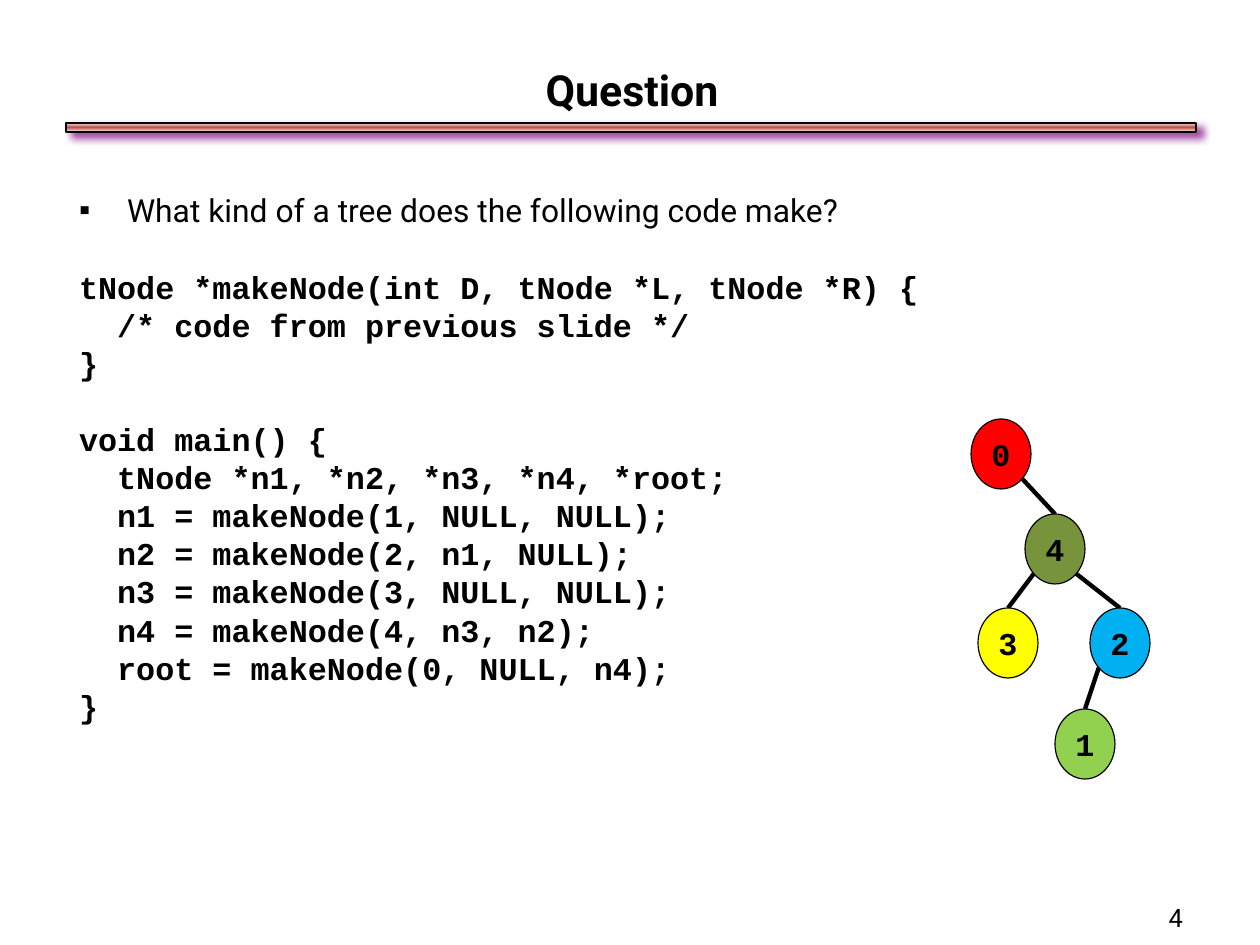
from math import sqrt
from lxml import etree
from pptx import Presentation
from pptx.dml.color import RGBColor
from pptx.enum.shapes import MSO_CONNECTOR, MSO_SHAPE
from pptx.enum.text import MSO_ANCHOR, MSO_AUTO_SIZE, PP_ALIGN
from pptx.oxml.ns import qn
from pptx.util import Pt

RECT, OVAL = MSO_SHAPE.RECTANGLE, MSO_SHAPE.OVAL
LINE = MSO_CONNECTOR.STRAIGHT
TOP, MIDDLE = MSO_ANCHOR.TOP, MSO_ANCHOR.MIDDLE
LEFT, CENTER, RIGHT = PP_ALIGN.LEFT, PP_ALIGN.CENTER, PP_ALIGN.RIGHT
FIXED = MSO_AUTO_SIZE.NONE

BLACK = RGBColor(0x00, 0x00, 0x00)
CREAM = RGBColor(0xEE, 0xEC, 0xE1)
BRICK = RGBColor(0xC0, 0x50, 0x4D)
PURPLE = RGBColor(0x80, 0x00, 0x80)
RED = RGBColor(0xFF, 0x00, 0x00)
OLIVE = RGBColor(0x77, 0x93, 0x3C)
YELLOW = RGBColor(0xFF, 0xFF, 0x00)
BLUE = RGBColor(0x00, 0xB0, 0xF0)
GREEN = RGBColor(0x92, 0xD0, 0x50)

SANS, MONO = "Roboto", "Courier New"
NODE_W, NODE_H = 60, 70

CODE = [
    """tNode *makeNode(int D, tNode *L, tNode *R) {
  /* code from previous slide */
}""",
    """void main() {
  tNode *n1, *n2, *n3, *n4, *root;
  n1 = makeNode(1, NULL, NULL);
  n2 = makeNode(2, n1, NULL);
  n3 = makeNode(3, NULL, NULL);
  n4 = makeNode(4, n3, n2);
  root = makeNode(0, NULL, n4);
}""",
]

# Label: centre x, centre y, fill
NODES = {
    "0": (1001, 454, RED),
    "4": (1055, 549, OLIVE),
    "3": (1008, 643, YELLOW),
    "2": (1120, 643, BLUE),
    "1": (1085, 744, GREEN),
}
# Parent, child, side of the parent (-1 left, 1 right)
EDGES = [("0", "4", 1), ("4", "3", -1), ("4", "2", 1), ("2", "1", -1)]


def px(n):
    return round(n * 8000)


def box(*sides):
    return [px(n) for n in sides]


def add(parent, tag, **attrs):
    return etree.SubElement(parent, qn(tag), attrs)


def place(shape, sides):
    shape.left, shape.top, shape.width, shape.height = box(*sides)


def set_frame(frame, anchor, pad_x=13, pad_y=7, wrap=True):
    frame.margin_left = frame.margin_right = px(pad_x)
    frame.margin_top = frame.margin_bottom = px(pad_y)
    frame.word_wrap = wrap
    frame.auto_size = FIXED
    frame.vertical_anchor = anchor


def style(para, size, name=SANS, bold=False, align=LEFT):
    para.alignment = align
    for run in para.runs:
        font = run.font
        font.size, font.name, font.bold = Pt(size), name, bold
        font.color.rgb = BLACK


def set_list(para, mark=None, indent=0):
    props = para._p.get_or_add_pPr()
    props.set("marL", str(px(indent)))
    props.set("indent", str(-px(indent)))
    if mark:
        add(add(props, "a:buClr"), "a:srgbClr", val=str(BLACK))
        add(props, "a:buFont", typeface="Arial")
        add(props, "a:buChar", char=mark)
    else:
        add(props, "a:buNone")
    para.space_before = Pt(0)


def add_bar(slide):
    bar = slide.shapes.add_shape(RECT, *box(66, 123, 1130, 9))
    bar.line.color.rgb, bar.line.width = BLACK, Pt(1)
    bar.shadow.inherit = False
    bar.fill.gradient()
    bar.fill.gradient_angle = 90
    props = bar._element.spPr

    # Three gradient stops
    stops = props.find(qn("a:gradFill")).find(qn("a:gsLst"))
    for stop in list(stops):
        stops.remove(stop)
    for pos, color in ((0, CREAM), (50000, BRICK), (100000, CREAM)):
        add(add(stops, "a:gs", pos=str(pos)), "a:srgbClr", val=str(color))

    # Purple shadow
    glow = add(props.find(qn("a:effectLst")), "a:outerShdw",
               blurRad=str(Pt(5)), dist=str(Pt(5)), dir=str(37 * 60000),
               algn="ctr", rotWithShape="0")
    add(add(glow, "a:srgbClr", val=str(PURPLE)), "a:alpha", val="75000")


def add_title(slide):
    title = slide.shapes.title
    place(title, (66, 57, 1132, 65))
    frame = title.text_frame
    set_frame(frame, MIDDLE)
    frame.text = "Question"
    style(frame.paragraphs[0], 27, bold=True, align=CENTER)


def add_body(slide):
    body = slide.placeholders[1]
    place(body, (66, 184, 1128, 702))
    frame = body.text_frame
    set_frame(frame, TOP)
    ask = frame.paragraphs[0]
    ask.text = "What kind of a tree does the following code make?"
    set_list(ask, "▪", 48)
    style(ask, 20)
    for block in CODE:
        for i, line in enumerate(block.split("\n")):
            para = frame.add_paragraph()
            para.text = line
            set_list(para)
            para.line_spacing = Pt(24)
            if i == 0:
                para.space_before = Pt(24)
            style(para, 20, MONO, True)


def add_edge(slide, parent, child, side):
    x, y, _ = NODES[parent]
    end_x, end_y, _ = NODES[child]
    start = x + side * NODE_W / 2 / sqrt(2), y + NODE_H / 2 / sqrt(2)
    edge = slide.shapes.add_connector(
        LINE, *box(*start, end_x, end_y - NODE_H / 2))
    edge.line.color.rgb, edge.line.width = BLACK, Pt(2.75)
    add(edge._element.spPr, "a:effectLst")


def add_node(slide, label, x, y, color):
    node = slide.shapes.add_shape(
        OVAL, *box(x - NODE_W / 2, y - NODE_H / 2, NODE_W, NODE_H))
    node.shadow.inherit = False
    node.fill.solid()
    node.fill.fore_color.rgb = color
    node.line.color.rgb, node.line.width = BLACK, Pt(0.75)
    frame = node.text_frame
    set_frame(frame, MIDDLE, 0, 0, wrap=False)
    frame.text = label
    style(frame.paragraphs[0], 20, MONO, True, CENTER)


def add_number(slide):
    frame = slide.shapes.add_textbox(*box(934, 895, 262, 50)).text_frame
    set_frame(frame, TOP)
    frame.text = "4"
    style(frame.paragraphs[0], 16, align=RIGHT)


def main():
    deck = Presentation()
    deck.slide_width, deck.slide_height = box(1260, 945)
    slide = deck.slides.add_slide(deck.slide_layouts[1])

    # Heading and text
    add_bar(slide)
    add_title(slide)
    add_body(slide)
    add_number(slide)

    # Tree
    for edge in EDGES:
        add_edge(slide, *edge)
    for label, node in NODES.items():
        add_node(slide, label, *node)

    deck.save("out.pptx")


if __name__ == "__main__":
    main()
